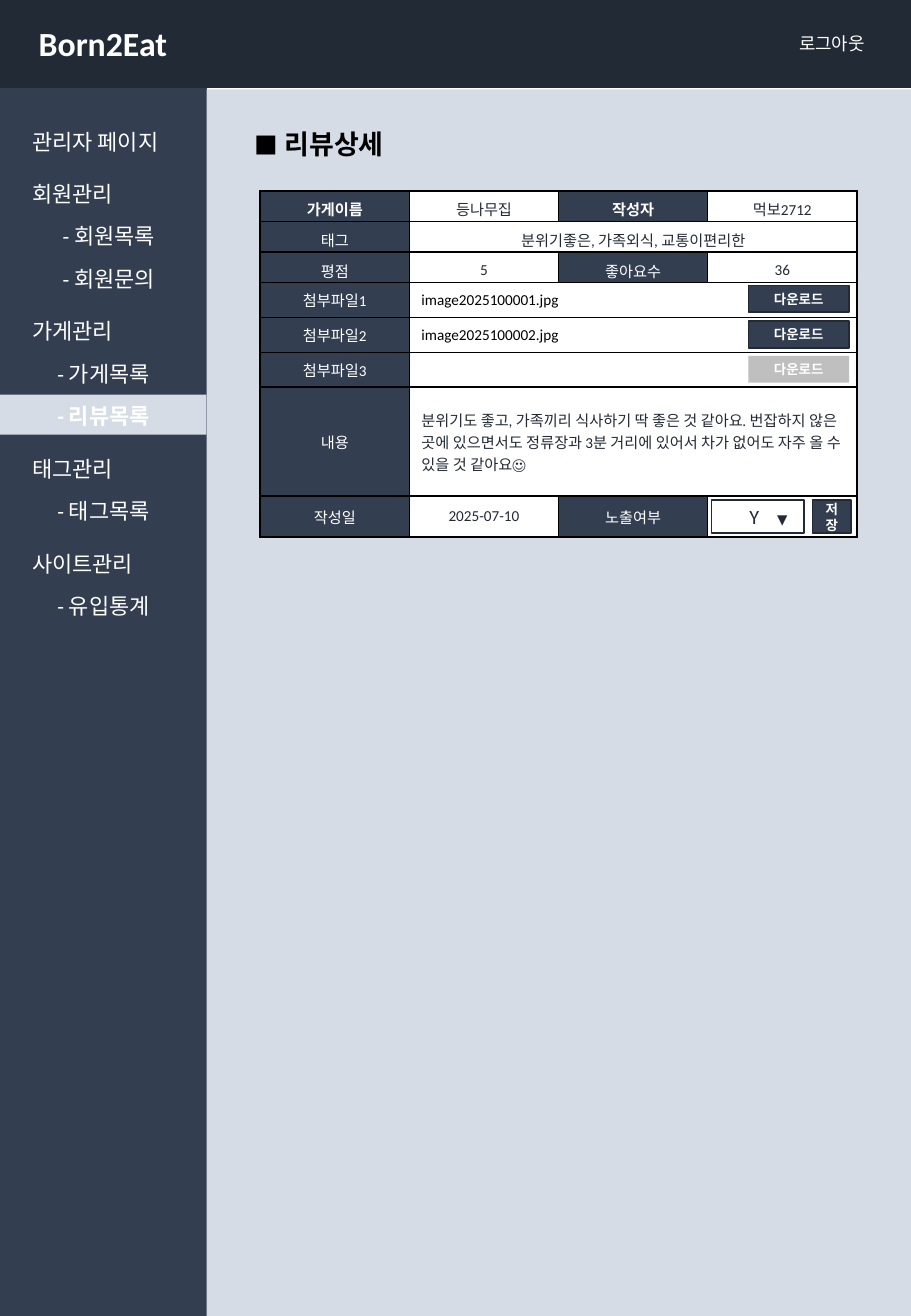
"""Build the review detail screen of the Born2Eat administration site."""
from lxml import etree
from pptx import Presentation
from pptx import util as u
from pptx.dml.color import RGBColor
from pptx.enum import shapes, text
from pptx.oxml.ns import qn

NAVY = RGBColor(0x33, 0x3F, 0x50)
DARK = RGBColor(0x22, 0x2A, 0x35)
PALE = RGBColor(0xD6, 0xDC, 0xE5)
GREY = RGBColor(0xBF, 0xBF, 0xBF)
WHITE = RGBColor(0xFF, 0xFF, 0xFF)
BLACK = RGBColor(0x00, 0x00, 0x00)
CENTER = text.PP_ALIGN.CENTER
LEFT = text.PP_ALIGN.LEFT

presentation = Presentation()
presentation.slide_width = u.Cm(19.05)
presentation.slide_height = u.Cm(27.51)
slide = presentation.slides.add_slide(presentation.slide_layouts[6])


def add_box(left, top, width, height, fill=None, line=None):
    """Add a rectangle, or a text box when no fill is given."""
    place = [u.Cm(value) for value in (left, top, width, height)]
    if fill is None:
        shape = slide.shapes.add_textbox(*place)
    else:
        shape = slide.shapes.add_shape(shapes.MSO_SHAPE.RECTANGLE, *place)
        shape.shadow.inherit = False
        shape.fill.solid()
        shape.fill.fore_color.rgb = fill
        if line is None:
            shape.line.fill.background()
        else:
            shape.line.color.rgb = line
            shape.line.width = u.Pt(1)
        shape.text_frame.vertical_anchor = text.MSO_ANCHOR.MIDDLE
    shape.text_frame.word_wrap = True
    return shape


def write(paragraph, words, size, color, bold=False, align=LEFT):
    """Append a formatted run to a paragraph."""
    paragraph.alignment = align
    run = paragraph.add_run()
    run.text = words
    run.font.name = "Calibri"
    run.font.size = u.Pt(size)
    run.font.color.rgb = color
    run.font.bold = bold


add_box(0, 0, 4.32, 27.51, NAVY, NAVY)
add_box(0, 0, 19.05, 1.83, DARK, DARK)
logout = add_box(16.46, 0.56, 2.08, 0.71)
write(logout.text_frame.paragraphs[0], "로그아웃", 10.6, WHITE)
site_name = add_box(0.56, 0.36, 3.35, 1.12)
write(site_name.text_frame.paragraphs[0], "Born2Eat", 20, WHITE, True)
add_box(0, 8.25, 4.32, 0.84, PALE)

MENU = [
    ("관리자 페이지", 0, []),
    ("회원관리", 0.63, ["회원목록", "회원문의"]),
    ("가게관리", 0.52, ["가게목록", "리뷰목록"]),
    ("태그관리", 0.52, ["태그목록"]),
    ("사이트관리", 0.52, ["유입통계"]),
]
menu_frame = add_box(0.43, 2.54, 3.43, 10.85).text_frame
for section, (heading, indent, pages) in enumerate(MENU):
    for position, label in enumerate([heading] + pages):
        if section or position:
            paragraph = menu_frame.add_paragraph()
            paragraph.space_before = u.Pt(9.2 if position else 15.1)
        else:
            paragraph = menu_frame.paragraphs[0]
        paragraph.line_spacing = u.Pt(16)
        if position:
            paragraph_format = paragraph._p.get_or_add_pPr()
            paragraph_format.set("marL", str(u.Cm(indent)))
            label = "- " + label
        write(paragraph, label, 13, WHITE, label == "- 리뷰목록")

add_box(4.32, 1.87, 14.73, 25.64, PALE)
title = add_box(5.08, 2.54, 4.83, 0.94).text_frame.paragraphs[0]
write(title, "■", 14, BLACK, True)
write(title, " 리뷰상세", 16, BLACK, True)

REVIEW = (
    "분위기도 좋고, 가족끼리 식사하기 딱 좋은 것 같아요. 번잡하지 않은 곳에 있으면서도 "
    "정류장과 3분 거리에 있어서 차가 없어도 자주 올 수 있을 것 같아요☺"
)
ROWS = [
    (0.64, ["가게이름", "등나무집", "작성자", "먹보2712"]),
    (0.64, ["태그", "분위기좋은, 가족외식, 교통이편리한"]),
    (0.64, ["평점", "5", "좋아요수", "36"]),
    (0.73, ["첨부파일1", "image2025100001.jpg"]),
    (0.73, ["첨부파일2", "image2025100002.jpg"]),
    (0.72, ["첨부파일3", ""]),
    (2.28, ["내용", REVIEW]),
    (0.86, ["작성일", "2025-07-10", "노출여부", ""]),
]
table_frame = slide.shapes.add_table(
    len(ROWS), 4, u.Cm(5.44), u.Cm(3.99), u.Cm(12.48), u.Cm(7.24)
)
table = table_frame.table
for column in table.columns:
    column.width = u.Cm(3.12)
for row, (height, values) in enumerate(ROWS):
    table.rows[row].height = u.Cm(height)
    if len(values) == 2:
        table.cell(row, 1).merge(table.cell(row, 3))
    for column in range(4):
        cell = table.cell(row, column)
        is_label = column == 0 or (column == 2 and len(values) == 4)
        cell.fill.solid()
        cell.fill.fore_color.rgb = NAVY if is_label else WHITE
        cell.vertical_anchor = text.MSO_ANCHOR.MIDDLE
        if row < 3:
            cell.margin_bottom = 0
        paragraph = cell.text_frame.paragraphs[0]
        paragraph.font.size = u.Pt(9)
        if column < len(values) and values[column]:
            is_file = values[column].startswith("image")
            color = WHITE if is_label else BLACK if is_file else DARK
            align = LEFT if is_file or values[column] == REVIEW else CENTER
            write(paragraph, values[column], 9, color, is_label and row == 0, align)
        cell_format = cell._tc.get_or_add_tcPr()
        for order, side in enumerate(("a:lnL", "a:lnR", "a:lnT", "a:lnB")):
            border = etree.Element(qn(side), w=str(u.Pt(1)))
            border_fill = etree.SubElement(border, qn("a:solidFill"))
            etree.SubElement(border_fill, qn("a:srgbClr"), val=str(BLACK))
            cell_format.insert(order, border)

visibility = add_box(14.88, 10.46, 1.93, 0.69, WHITE, DARK).text_frame
visibility.margin_left = u.Cm(0.79)
visibility.margin_right = 0
choice = visibility.paragraphs[0]
write(choice, "Y", 12, DARK)
write(choice, "\t▼", 8, DARK, True)
tab_list = etree.SubElement(choice._p.get_or_add_pPr(), qn("a:tabLst"))
etree.SubElement(tab_list, qn("a:tab"), pos=str(u.Cm(0.58)), algn="l")

BUTTONS = [
    ("저장", 16.99, 10.46, 0.81, 0.69, NAVY, DARK),
    ("다운로드", 15.65, 5.97, 2.11, 0.56, NAVY, DARK),
    ("다운로드", 15.65, 6.71, 2.11, 0.56, NAVY, DARK),
    ("다운로드", 15.65, 7.44, 2.11, 0.56, GREY, None),
]
for label, *place_and_colors in BUTTONS:
    button = add_box(*place_and_colors)
    write(button.text_frame.paragraphs[0], label, 8, WHITE, True, CENTER)

presentation.save("out.pptx")
